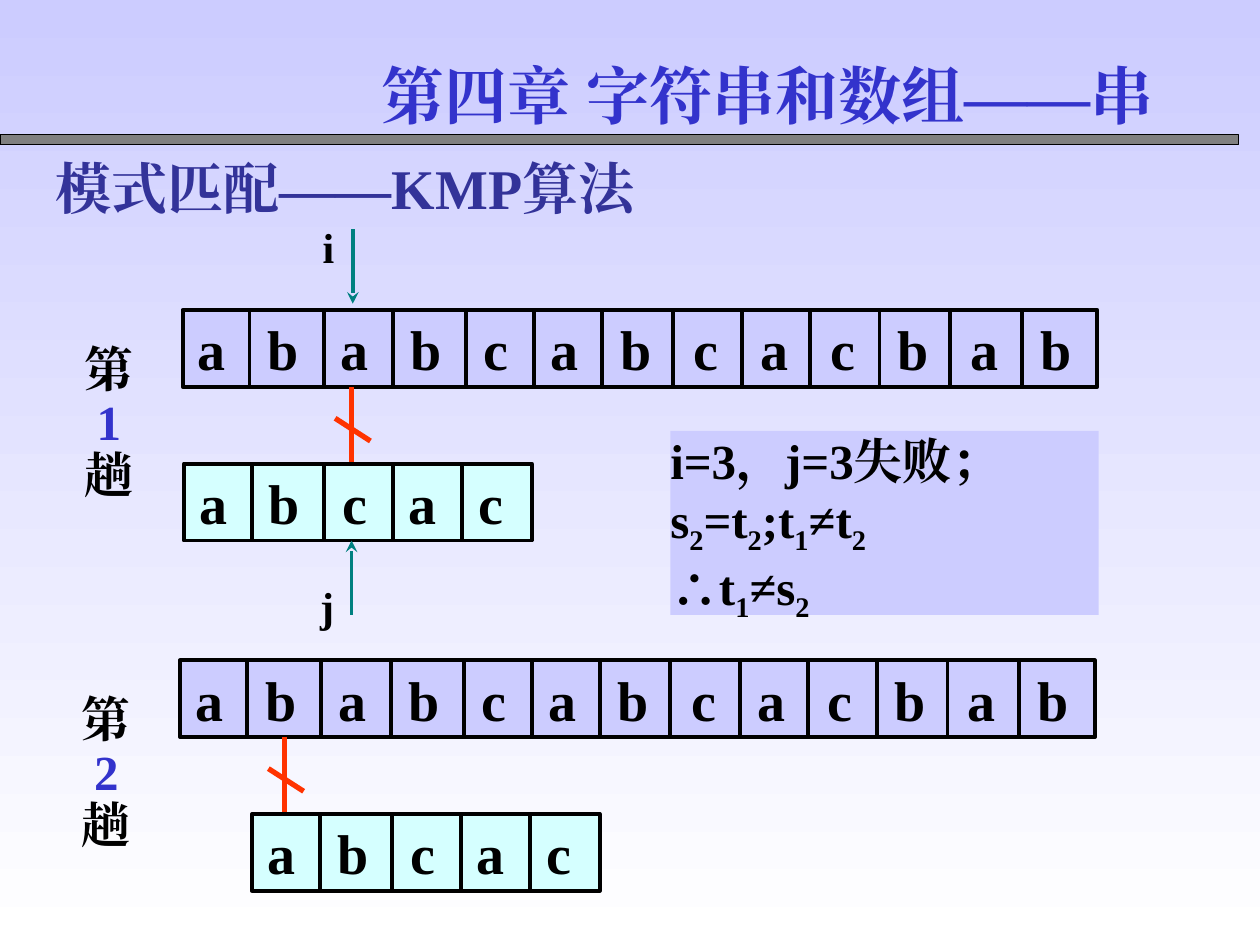
from itertools import accumulate

from lxml.etree import SubElement
from pptx import Presentation
from pptx.dml.color import RGBColor
from pptx.enum.shapes import MSO_CONNECTOR, MSO_SHAPE
from pptx.enum.text import MSO_ANCHOR, MSO_AUTO_SIZE, PP_ALIGN
from pptx.oxml.ns import qn
from pptx.util import Inches, Pt

FONT = "Times New Roman"
BLACK, BLUE, NAVY, LILAC = "000000", "3333CC", "333399", "CCCCFF"
CYAN, RED, TEAL, GREY = "D5FFFF", "FF3300", "008080", "808080"
MAIN_STRING, PATTERN = "ababcabcacbab", "abcac"
MAIN_DIVIDERS = [0.53, 1.12, 1.67, 2.25, 2.79, 3.33, 3.89, 4.44, 4.98, 5.53, 6.09, 6.66]
PATTERN_DIVIDERS = [0.54, 1.11, 1.66, 2.21]
LETTER_STEP = {"a": 0.555, "b": 0.58, "c": 0.53}
ROW_HEIGHT = 0.61


def color(value):
    """Turn a hex string into a colour."""
    return RGBColor.from_string(value)


def set_values(target, values):
    """Set each named attribute on the target."""
    for name, value in values.items():
        setattr(target, name, value)


def set_frame(frame, insets=(0.1, 0.05, 0.1, 0.05), anchor=MSO_ANCHOR.TOP):
    """Give a text frame its insets, wrapping and anchor."""
    left, top, right, bottom = map(Inches, insets)
    set_values(frame, {
        "margin_left": left, "margin_top": top, "margin_right": right,
        "margin_bottom": bottom, "word_wrap": True, "vertical_anchor": anchor,
        "auto_size": MSO_AUTO_SIZE.NONE,
    })


def add_run(paragraph, text, size, ink=BLACK, subscript=False):
    """Append a bold run and return its properties element."""
    run = paragraph.add_run()
    run.text = text
    set_values(run.font, {"name": FONT, "size": Pt(size), "bold": True})
    run.font.color.rgb = color(ink)
    properties = run.font._element
    SubElement(properties, qn("a:ea")).set("typeface", FONT)
    if subscript:
        properties.set("baseline", "-25000")
    return properties


def add_formula(paragraph, formula, size):
    """Write a formula in which an underscore lowers the next character."""
    first, *rest = formula.split("_")
    add_run(paragraph, first, size)
    for piece in rest:
        add_run(paragraph, piece[0], size, subscript=True)
        if piece[1:]:
            add_run(paragraph, piece[1:], size)


def add_box(slide, box, fill, line_width=0):
    """Add a filled rectangle, outlined in black if a width is given."""
    rectangle = slide.shapes.add_shape(MSO_SHAPE.RECTANGLE, *map(Inches, box))
    rectangle.shadow.inherit = False
    rectangle.fill.solid()
    rectangle.fill.fore_color.rgb = color(fill)
    if line_width:
        rectangle.line.color.rgb = color(BLACK)
        rectangle.line.width = Pt(line_width)
    else:
        rectangle.line.fill.background()
    return rectangle


def add_line(slide, ends, ink=BLACK, width=2.25, arrow=False):
    """Add a straight line, with an arrowhead at its end on request."""
    line = slide.shapes.add_connector(MSO_CONNECTOR.STRAIGHT, *map(Inches, ends))
    line.line.color.rgb = color(ink)
    line.line.width = Pt(width)
    properties = line._element.spPr
    if arrow:
        SubElement(properties.find(qn("a:ln")), qn("a:tailEnd")).set("type", "stealth")
    SubElement(properties, qn("a:effectLst"))


def add_label(slide, box, lines, size, insets=(0.1, 0.05, 0.1, 0.05), **layout):
    """Add a text box with one paragraph for each (text, colour) line."""
    frame = slide.shapes.add_textbox(*map(Inches, box)).text_frame
    set_frame(frame, insets)
    for index, (text, ink) in enumerate(lines):
        paragraph = frame.add_paragraph() if index else frame.paragraphs[0]
        set_values(paragraph, layout)
        add_run(paragraph, text, size, ink)


def add_title(slide, text):
    """Place the chapter title with its text shadow."""
    title = slide.shapes.title
    set_values(title, {"left": Inches(2.93), "top": Inches(0.4),
                       "width": Inches(7.07), "height": Inches(0.7)})
    set_frame(title.text_frame)
    paragraph = title.text_frame.paragraphs[0]
    paragraph.alignment = PP_ALIGN.LEFT
    properties = add_run(paragraph, text, 36, BLUE)
    effects = properties.makeelement(qn("a:effectLst"))
    properties.find(qn("a:solidFill")).addnext(effects)
    shadow = SubElement(effects, qn("a:outerShdw"), dist="28398", dir="2700000")
    SubElement(shadow, qn("a:srgbClr"), val=GREY)


def add_string_row(slide, left, top, width, letters, dividers, fill):
    """Draw a string as a row of divided cells, one letter in each."""
    row = add_box(slide, (left, top, width, ROW_HEIGHT), fill, 2.25)
    set_frame(row.text_frame, (0.12, 0, 0.02, 0), MSO_ANCHOR.MIDDLE)
    paragraph = row.text_frame.paragraphs[0]
    paragraph.alignment = PP_ALIGN.LEFT
    stops = SubElement(paragraph._p.get_or_add_pPr(), qn("a:tabLst"))
    for position in accumulate(LETTER_STEP[letter] for letter in letters[:-1]):
        SubElement(stops, qn("a:tab"), pos=str(Inches(position)), algn="l")
    add_run(paragraph, "\t".join(letters), 32)
    for offset in dividers:
        x = left + offset
        add_line(slide, (x, top, x, top + ROW_HEIGHT))


def add_pass(slide, number, left, top, pattern_left, mismatch):
    """Draw one matching pass: label, both strings and the mismatch mark."""
    add_label(slide, (left - 0.89, top + 0.23, 0.71, 1.36),
              [("第", BLACK), (number, BLUE), ("趟", BLACK)], 28,
              (0.1, 0.05, 0.2, 0.05), alignment=PP_ALIGN.CENTER, line_spacing=0.9)
    add_string_row(slide, left, top, 7.26, MAIN_STRING, MAIN_DIVIDERS, LILAC)
    bottom = top + ROW_HEIGHT
    add_line(slide, (mismatch, bottom, mismatch, bottom + 0.62), RED, 3)
    add_line(slide, (mismatch - 0.13, bottom + 0.25, mismatch + 0.15, bottom + 0.43), RED, 3)
    add_string_row(slide, pattern_left, top + 1.22, 2.76, PATTERN, PATTERN_DIVIDERS, CYAN)


def add_pointer(slide, name, label_left, label_top, arrow_ends):
    """Draw a named index arrow."""
    add_line(slide, arrow_ends, TEAL, arrow=True)
    add_label(slide, (label_left, label_top, 0.25, 0.5), [(name, BLACK)], 24, (0, 0.05, 0, 0.05))


def add_conclusion(slide):
    """Add the panel that explains the first mismatch."""
    panel = add_box(slide, (5.32, 3.42, 3.4, 1.46), LILAC)
    set_frame(panel.text_frame, (0, 0, 0, 0))
    panel.text_frame.add_paragraph()
    formulas = ("i=3，j=3失败； s_2=t_2;t_1≠t_2", "∴t_1≠s_2")
    for paragraph, formula in zip(panel.text_frame.paragraphs, formulas):
        paragraph.alignment = PP_ALIGN.LEFT
        add_formula(paragraph, formula, 28)


def set_background(slide):
    """Fade the background from lilac at the top to white."""
    fill = slide.background.fill
    fill.gradient()
    fill.gradient_angle = 270
    for stop, ink, position in zip(fill.gradient_stops, (LILAC, "FFFFFF"), (0, 1)):
        stop.color.rgb = color(ink)
        stop.position = position


def main():
    """Build the slide on KMP matching and save it."""
    deck = Presentation()
    set_values(deck, {"slide_width": Inches(10), "slide_height": Inches(7.5)})
    slide = deck.slides.add_slide(deck.slide_layouts[5])
    set_background(slide)
    add_box(slide, (0, 1.07, 9.83, 0.08), GREY, 0.75)
    add_title(slide, "第四章 字符串和数组——串")
    add_label(slide, (0.34, 1.17, 8.17, 0.64), [("模式匹配——KMP算法", NAVY)], 32)
    add_conclusion(slide)
    add_pass(slide, "1", 1.45, 2.46, 1.46, 2.79)
    add_pointer(slide, "i", 2.56, 1.71, (2.8, 1.82, 2.8, 2.41))
    add_pointer(slide, "j", 2.54, 4.56, (2.79, 4.88, 2.79, 4.29))
    add_pass(slide, "2", 1.43, 5.24, 2, 2.26)
    deck.save("out.pptx")


if __name__ == "__main__":
    main()
